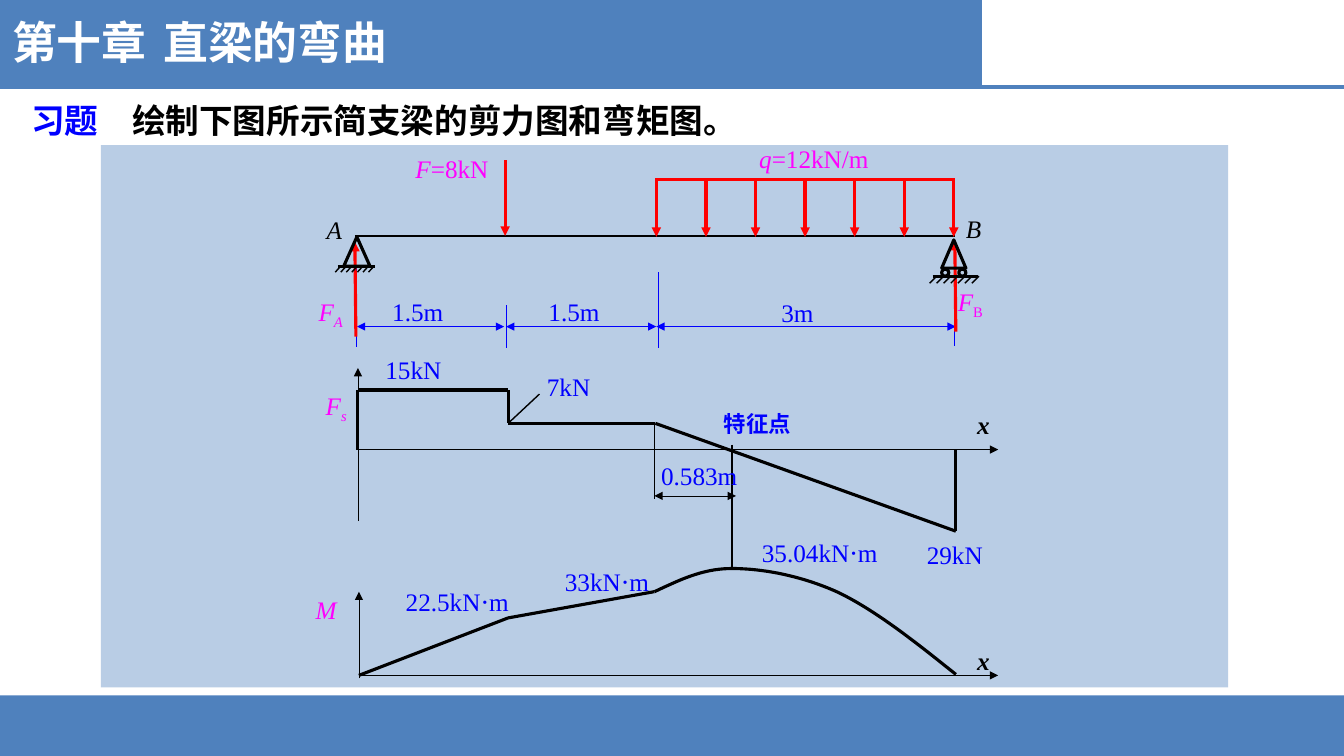
from dataclasses import dataclass
from lxml import etree
from pptx import Presentation
from pptx.dml.color import RGBColor
from pptx.enum.shapes import MSO_CONNECTOR, MSO_SHAPE
from pptx.enum.text import MSO_ANCHOR, MSO_AUTO_SIZE, PP_ALIGN
from pptx.oxml.ns import qn
from pptx.util import Pt

EMU_PER_PX = 9144
RECT, TRIANGLE, OVAL = MSO_SHAPE.RECTANGLE, MSO_SHAPE.ISOSCELES_TRIANGLE, MSO_SHAPE.OVAL
STRAIGHT = MSO_CONNECTOR.STRAIGHT
LEFT, CENTER = PP_ALIGN.LEFT, PP_ALIGN.CENTER
TOP, NO_FIT = MSO_ANCHOR.TOP, MSO_AUTO_SIZE.NONE
LATIN, CJK = "Times New Roman", "Noto Sans CJK SC"
BAND, PANEL, WHITE, BLACK = "4F81BD", "B9CDE5", "FFFFFF", "000000"
BLUE, RED, MAGENTA = "0000FF", "FF0000", "FF00FF"
THIN, MEDIUM, THICK = 0.5, 1, 2.25


def px(length):
    return round(length * EMU_PER_PX)


def rgb(color):
    return RGBColor.from_string(color)


def set_font(font, size, color, name=LATIN, bold=False, italic=False):
    font.name = name
    etree.SubElement(font._element, qn("a:ea"), typeface=CJK)
    font.size, font.bold, font.italic = Pt(size), bold, italic
    font.color.rgb = rgb(color)


@dataclass
class Region:
    """A box on the slide; everything drawn in it is measured in px from its corner."""
    slide: object
    left: int
    top: int
    width: int
    height: int

    def at(self, x, y):
        return px(self.left + x), px(self.top + y)

    def shape(self, kind, x, y, width, height, fill=None, stroke=None):
        shape = self.slide.shapes.add_shape(kind, *self.at(x, y), px(width), px(height))
        shape.shadow.inherit = False
        paint(shape, fill, stroke)

    def line(self, start, end, color=BLACK, weight=THICK, head=False, tail=False):
        connector = self.slide.shapes.add_connector(STRAIGHT, *self.at(*start), *self.at(*end))
        connector.line.color.rgb = rgb(color)
        connector.line.width = Pt(weight)
        outline = connector.line._get_or_add_ln()
        for tag, wanted in (("a:headEnd", head), ("a:tailEnd", tail)):
            if wanted:
                etree.SubElement(outline, qn(tag), type="triangle")
        etree.SubElement(connector._element.spPr, qn("a:effectLst"))

    def polyline(self, points):
        for start, end in zip(points, points[1:]):
            self.line(start, end)

    def label(self, x, y, width, height, runs, color=BLUE, size=18, bold=False,
              align=LEFT, padded=False):
        """Runs are (text, style) pairs: i in the style is italic, _ is subscript."""
        frame = self.slide.shapes.add_textbox(*self.at(x, y), px(width), px(height)).text_frame
        frame.word_wrap = True
        frame.margin_left = frame.margin_right = px(10 if padded else 0)
        frame.margin_top = frame.margin_bottom = px(5 if padded else 0)
        paragraph = frame.paragraphs[0]
        paragraph.alignment = align
        all_italic = all("i" in style for _, style in runs)
        set_font(paragraph.font, size, color, bold=bold, italic=all_italic)
        for text, style in runs:
            run = paragraph.add_run()
            run.text = text
            if "i" in style and not all_italic:
                run.font.italic = True
            if "_" in style:
                run._r.get_or_add_rPr().set("baseline", "-25000")

    def value(self, x, y, width, text, height=40):
        self.label(x, y, width, height, [(text, "")], align=CENTER, padded=True)

    def axes(self, origin, x_end, y_start, y_end):
        self.line(origin, (x_end, origin[1]), weight=THIN, tail=True)
        self.line((origin[0], y_start), (origin[0], y_end), weight=THIN, tail=True)


def paint(shape, fill, stroke):
    if fill:
        shape.fill.solid()
        shape.fill.fore_color.rgb = rgb(fill)
    else:
        shape.fill.background()
    if stroke:
        shape.line.color.rgb = rgb(stroke)
        shape.line.width = Pt(THICK)
    else:
        shape.line.fill.background()


def heading_paragraph(placeholder, region, x, y, width, height, tab):
    """Moves a placeholder and returns its paragraph, unbulleted, with one tab stop."""
    placeholder.left, placeholder.top = region.at(x, y)
    placeholder.width, placeholder.height = px(width), px(height)
    frame = placeholder.text_frame
    frame.word_wrap, frame.auto_size, frame.vertical_anchor = True, NO_FIT, TOP
    paragraph = frame.paragraphs[0]
    paragraph.alignment = LEFT
    paragraph.space_before = Pt(0)
    properties = paragraph._p.get_or_add_pPr()
    properties.set("marL", "0")
    properties.set("indent", "0")
    etree.SubElement(properties, qn("a:buNone"))
    tabs = etree.SubElement(properties, qn("a:tabLst"))
    etree.SubElement(tabs, qn("a:tab"), pos=str(px(tab)), algn="l")
    return paragraph


def chapter_header(region):
    region.shape(RECT, 0, 0, 974, region.height, BAND)
    region.line((0, region.height), (region.width, region.height), BAND, 3)
    title = region.slide.shapes.title
    region.slide.shapes._spTree.append(title._element)  # above the band
    chapter = heading_paragraph(title, region, 2, 11, 419, 64, tab=165)
    set_font(chapter.font, 32, WHITE, CJK, bold=True)
    chapter.add_run().text = "第十章\t直梁的弯曲"


def exercise(region):
    body = region.slide.placeholders[1]
    task = heading_paragraph(body, region, 0, 0, region.width, region.height, tab=82)
    task.line_spacing = 1.1
    set_font(task.font, 24, BLACK, bold=True)
    lead = task.add_run()
    lead.text = "习题\t"
    lead.font.color.rgb = rgb(BLUE)
    task.add_run().text = "绘制下图所示简支梁的剪力图和弯矩图。"


def ground(region, left, right, y, first, step, depth):
    region.line((left, y), (right, y))
    for i in range(7):
        x = first + step * i
        region.line((x, y), (x - step, y + depth), weight=MEDIUM)


def beam_loads(region):
    region.line((252, 90), (847, 90), weight=1.5)
    region.line((550, 34), (847, 34), RED)
    for i in range(7):
        x = 551 + 295 * i / 6
        region.line((x, 35), (x, 91), RED, tail=True)
    region.line((401, 15), (401, 90), RED, tail=True)

    for x, top, bottom in ((253, 121, 200), (402, 159, 201), (553, 126, 201), (847, 126, 199)):
        region.line((x, top), (x, bottom), BLUE, THIN)
    for start, end in ((254, 400), (402, 551), (551, 848)):
        region.line((start, 180), (end, 180), BLUE, THIN, head=True, tail=True)
    for x, y, span in ((289, 150, "1.5m"), (444, 150, "1.5m"), (675, 151, "3m")):
        region.label(x, y, 80, 27, [(span, "")])

    region.line((252, 96), (253, 190), RED, head=True)
    region.line((847, 95), (848, 185), RED, head=True)
    region.shape(TRIANGLE, 241, 91, 26, 29, stroke=BLACK)
    ground(region, 235, 272, 120, 238, 5.5, 6)
    region.shape(TRIANGLE, 834, 94, 24, 28, stroke=BLACK)
    for x in (834, 851):
        region.shape(OVAL, x, 123, 7, 7, stroke=BLACK)
    ground(region, 825, 870, 130, 829, 7, 7)

    region.label(653, -2, 123, 31, [("q", "i"), ("=12kN/m", "")], MAGENTA)
    region.label(312, 8, 89, 33, [("F", "i"), ("=8kN", "")], MAGENTA)
    region.label(224, 69, 30, 30, [("A", "i")], BLACK)
    region.label(858, 68, 30, 30, [("B", "i")], BLACK)
    region.label(216, 150, 34, 39, [("F", "i"), ("A", "i_")], MAGENTA)
    region.label(850, 140, 46, 37, [("F", "i"), ("B", "_")], MAGENTA)


def shear_diagram(region):
    region.axes((255, 96), 890, 167, 15)
    region.polyline([(255, 96), (255, 37), (404, 37), (404, 70), (550, 70), (848, 177), (848, 95)])
    region.line((435, 41), (404, 70), weight=MEDIUM)
    region.line((549, 72), (549, 145), weight=MEDIUM)
    region.line((626, 91), (626, 214), weight=MEDIUM)
    region.line((549, 142), (630, 142), weight=THIN, head=True, tail=True)
    region.label(869, 56, 39, 33, [("x", "i")], BLACK, bold=True)
    region.label(223, 37, 39, 33, [("F", "i"), ("s", "i_")], MAGENTA)
    region.label(608, 52, 116, 37, [("特征点", "")], size=16, bold=True, padded=True)
    region.value(262, -3, 96, "15kN")
    region.value(416, 13, 96, "7kN")
    region.value(540, 102, 107, "0.583m")
    region.value(799, 180, 96, "29kN")


def bezier(p0, p1, p2, p3, steps=20):
    for t in (i / steps for i in range(1, steps + 1)):
        u = 1 - t
        yield tuple(u**3 * a + 3 * u * u * t * b + 3 * u * t * t * c + t**3 * d
                    for a, b, c, d in zip(p0, p1, p2, p3))


def moment_diagram(region):
    region.axes((256, 142), 890, 145, 59)
    region.polyline([(256, 142), (404, 85), (549, 59)])
    start, peak, middle, end = (549, 59), (626, 36), (732, 60), (848, 141)
    curve = [*bezier(start, (573, 48), (596, 36), peak),
             *bezier(peak, (656, 36), (695, 43), middle),
             *bezier(middle, (769, 78), (808, 109), end)]
    builder = region.slide.shapes.build_freeform(*region.at(*start))
    builder.add_line_segments([region.at(*point) for point in curve], close=False)
    parabola = builder.convert_to_shape()
    parabola.shadow.inherit = False
    paint(parabola, None, BLACK)
    region.label(869, 112, 39, 33, [("x", "i")], BLACK, bold=True)
    region.label(213, 62, 39, 33, [("M", "i")], MAGENTA)
    region.value(288, 49, 131, "22.5kN⋅m")
    region.value(440, 29, 124, "33kN⋅m")
    region.value(637, 0, 152, "35.04kN⋅m")


def main():
    presentation = Presentation()
    presentation.slide_width, presentation.slide_height = px(1333), px(750)
    slide = presentation.slides.add_slide(presentation.slide_layouts[1])
    Region(slide, 0, 690, 1333, 60).shape(RECT, 0, 0, 1333, 60, BAND)
    chapter_header(Region(slide, 0, -1, 1333, 87))
    exercise(Region(slide, 21, 90, 1079, 55))
    Region(slide, 100, 144, 1118, 538).shape(RECT, 0, 0, 1118, 538, PANEL)
    beam_loads(Region(slide, 100, 144, 1118, 206))
    shear_diagram(Region(slide, 100, 350, 1118, 178))
    moment_diagram(Region(slide, 100, 528, 1118, 154))
    presentation.save("out.pptx")


if __name__ == "__main__":
    main()
